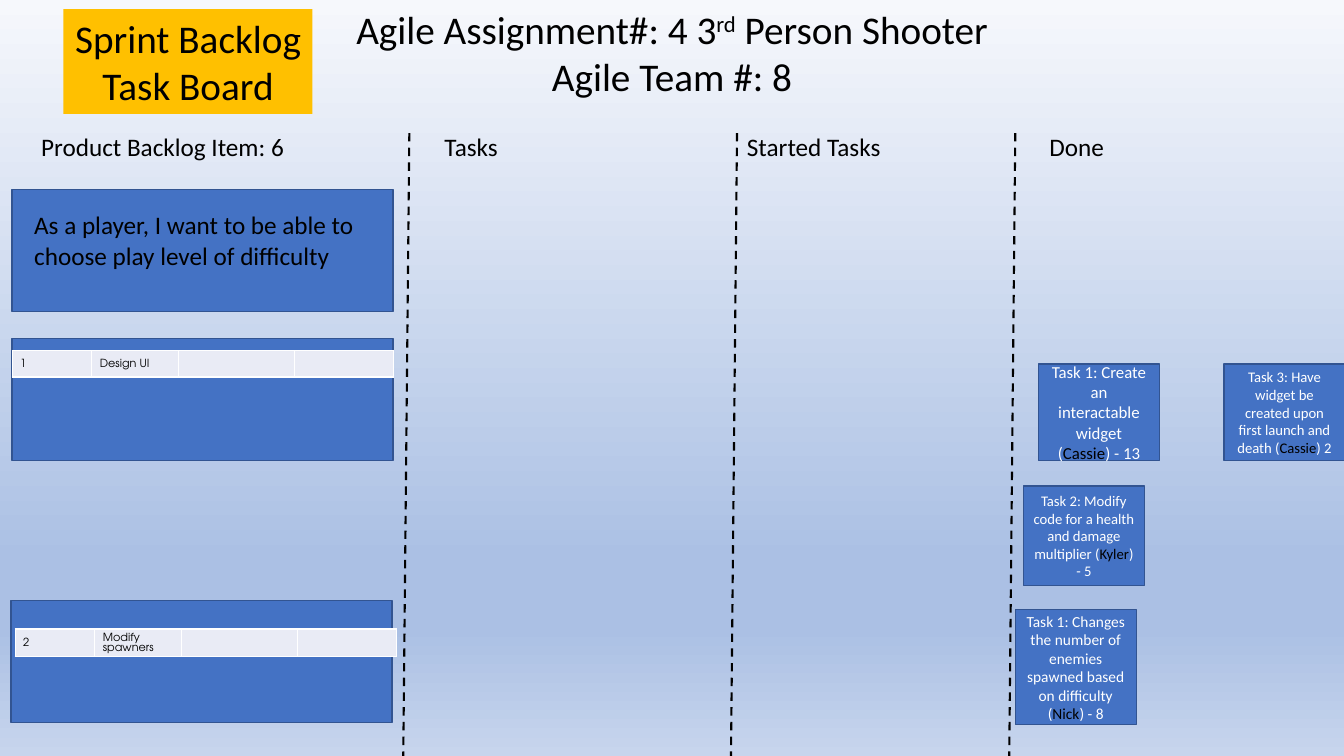
import dataclasses
import typing
import lxml.etree
import pptx
import pptx.dml.color
import pptx.enum.dml
import pptx.enum.shapes
import pptx.enum.text
import pptx.oxml.ns
import pptx.util

Inches = pptx.util.Inches
Pt = pptx.util.Pt
Align = pptx.enum.text.PP_ALIGN
Anchor = pptx.enum.text.MSO_ANCHOR
qn = pptx.oxml.ns.qn

BLUE, EDGE, GOLD = "4472C4", "325491", "FFC000"
BLACK, WHITE, PALE = "000000", "FFFFFF", "E9EBF5"
BODY, GRID = "Calibri", "TeX Gyre Adventor"
WIDTHS = (0.79, 0.86, 1.15, 0.98)


@dataclasses.dataclass
class Card:
    left: float
    top: float
    height: float
    size: float
    task: str
    owner: str
    points: str


@dataclasses.dataclass
class Board:
    left: float
    top: float


@dataclasses.dataclass
class Row:
    left: float
    top: float
    height: float
    words: tuple[str, str]


CARDS = (
    Card(10.3, 3.61, 0.96, 12, "Task 1: Create an interactable widget (", "Cassie", ") - 13"),
    Card(10.15, 4.82, 0.99, 10.5, "Task 2: Modify code for a health and damage multiplier (", "Kyler", ") - 5"),
    Card(12.14, 3.61, 0.96, 10.5, "Task 3: Have widget be created upon first launch and death (", "Cassie", ") 2"),
    Card(10.07, 6.05, 1.14, 11, "Task 1: Changes the number of enemies spawned based on difficulty (", "Nick", ") - 8"),
)
BOARDS = (Board(0.12, 1.88), Board(0.12, 3.36), Board(0.11, 5.96))
ROWS = (Row(0.12, 3.48, 0.26, ("1", "Design UI")), Row(0.15, 6.24, 0.27, ("2", "Modify spawners")))


def tint(code: str) -> pptx.dml.color.RGBColor:
    return pptx.dml.color.RGBColor.from_string(code)


def node(parent: typing.Any, tag: str, **attrs: str) -> typing.Any:
    return lxml.etree.SubElement(parent, qn(tag), **attrs)


def write(para: typing.Any, text: str, size: float, code: str = BLACK, face: str = BODY) -> typing.Any:
    run = para.add_run()
    run.text = text
    run.font.size = Pt(size)
    run.font.name = face
    run.font.color.rgb = tint(code)
    return run


def place(shape: typing.Any, left: float, top: float, width: float, height: float) -> None:
    shape.left, shape.top = Inches(left), Inches(top)
    shape.width, shape.height = Inches(width), Inches(height)


def draw_box(left: float, top: float, width: float, height: float, fill: str, edge: str = "") -> typing.Any:
    kind = pptx.enum.shapes.MSO_SHAPE.RECTANGLE
    box = slide.shapes.add_shape(kind, Inches(left), Inches(top), Inches(width), Inches(height))
    box.shadow.inherit = False
    box.fill.solid()
    box.fill.fore_color.rgb = tint(fill)
    if edge:
        box.line.color.rgb = tint(edge)
        box.line.width = Pt(1)
    else:
        box.line.fill.background()
    return box


def draw_text(left: float, top: float, width: float, height: float, text: str, wrap: bool) -> typing.Any:
    box = slide.shapes.add_textbox(Inches(left), Inches(top), Inches(width), Inches(height))
    box.text_frame.word_wrap = wrap
    para = box.text_frame.paragraphs[0]
    write(para, text, 18)
    return para


def draw_card(card: Card) -> None:
    frame = draw_box(card.left, card.top, 1.2, card.height, BLUE, EDGE).text_frame
    frame.word_wrap = True
    frame.vertical_anchor = Anchor.MIDDLE
    para = frame.paragraphs[0]
    para.alignment = Align.CENTER
    for text, code in ((card.task, WHITE), (card.owner, BLACK), (card.points, WHITE)):
        write(para, text, card.size, code)


def draw_rule(left: float) -> None:
    kind = pptx.enum.shapes.MSO_CONNECTOR.STRAIGHT
    rule = slide.shapes.add_connector(kind, Inches(left), Inches(1.32), Inches(left - 0.06), Inches(7.5))
    rule.line.color.rgb = tint(BLACK)
    rule.line.width = Pt(1.5)
    rule.line.dash_style = pptx.enum.dml.MSO_LINE.DASH
    node(rule._element.spPr, "a:effectLst")


def draw_cell(cell: typing.Any, text: str) -> None:
    cell.margin_left, cell.margin_right = Inches(0.08), Inches(0.01)
    cell.margin_top, cell.margin_bottom = Inches(0.01), Inches(0)
    cell.vertical_anchor = Anchor.MIDDLE
    para = cell.text_frame.paragraphs[0]
    if text:
        write(para, text, 8, face=GRID)
    node(para._p, "a:endParaRPr", sz="800")
    props = cell._tc.get_or_add_tcPr()
    for side in ("a:lnL", "a:lnR", "a:lnT", "a:lnB"):
        line = node(props, side, w=str(Pt(1)))
        node(node(line, "a:solidFill"), "a:srgbClr", val=WHITE)
    cell.fill.solid()
    cell.fill.fore_color.rgb = tint(PALE)


def draw_row(row: Row) -> None:
    frame = slide.shapes.add_table(1, len(WIDTHS), Inches(row.left), Inches(row.top),
                                   Inches(sum(WIDTHS)), Inches(row.height))
    table = frame.table
    table.first_row = table.horz_banding = False
    table.rows[0].height = Inches(row.height)
    for index, width in enumerate(WIDTHS):
        table.columns[index].width = Inches(width)
        draw_cell(table.cell(0, index), row.words[index] if index < len(row.words) else "")


def paint_back() -> None:
    fill = slide.background.fill
    fill.gradient()
    fill.gradient_angle = 270
    stops = slide._element.find(".//" + qn("a:gsLst"))
    for stop in list(stops):
        stops.remove(stop)
    for spot, code in ((0, "F6F8FC"), (74, "ABC0E4"), (83, "ABC0E4"), (100, "C7D5ED")):
        node(node(stops, "a:gs", pos=str(spot * 1000)), "a:srgbClr", val=code)


def fill_lines(frame: typing.Any, lines: tuple[tuple[str, ...], ...]) -> None:
    frame.word_wrap = False
    frame.auto_size = pptx.enum.text.MSO_AUTO_SIZE.NONE
    frame.vertical_anchor = Anchor.TOP
    for index, parts in enumerate(lines):
        para = frame.add_paragraph() if index else frame.paragraphs[0]
        para.alignment = Align.CENTER
        for part in parts:
            run = write(para, part, 28)
            if part == "rd":
                run.font._element.set("baseline", "30000")


deck = pptx.Presentation()
deck.slide_width, deck.slide_height = Inches(13.33), Inches(7.5)
slide = deck.slides.add_slide(deck.slide_layouts[5])
paint_back()

title = slide.shapes.title
place(title, 3.38, 0, 6.57, 1.04)
fill_lines(title.text_frame, (("Agile Assignment#: 4 3", "rd", " Person Shooter"), ("Agile Team #: 8",)))
badge = draw_box(0.63, 0.09, 2.47, 1.04, GOLD)
fill_lines(badge.text_frame, (("Sprint Backlog",), ("Task Board",)))

heads = draw_text(0.31, 1.25, 10.85, 0.4, "Product Backlog Item: 6\tTasks\tStarted Tasks\tDone", False)
tabs = node(heads._p.get_or_add_pPr(), "a:tabLst")
for stop in (4, 7, 10):
    node(tabs, "a:tab", pos=str(Inches(stop)), algn="l")

for left in (4.06, 7.31, 10.07):
    draw_rule(left)
for board in BOARDS:
    draw_box(board.left, board.top, 3.78, 1.21, BLUE, EDGE)
draw_text(0.24, 2.03, 3.45, 0.71, "As a player, I want to be able to choose play level of difficulty", True)
for row in ROWS:
    draw_row(row)
for card in CARDS:
    draw_card(card)

deck.save("out.pptx")
